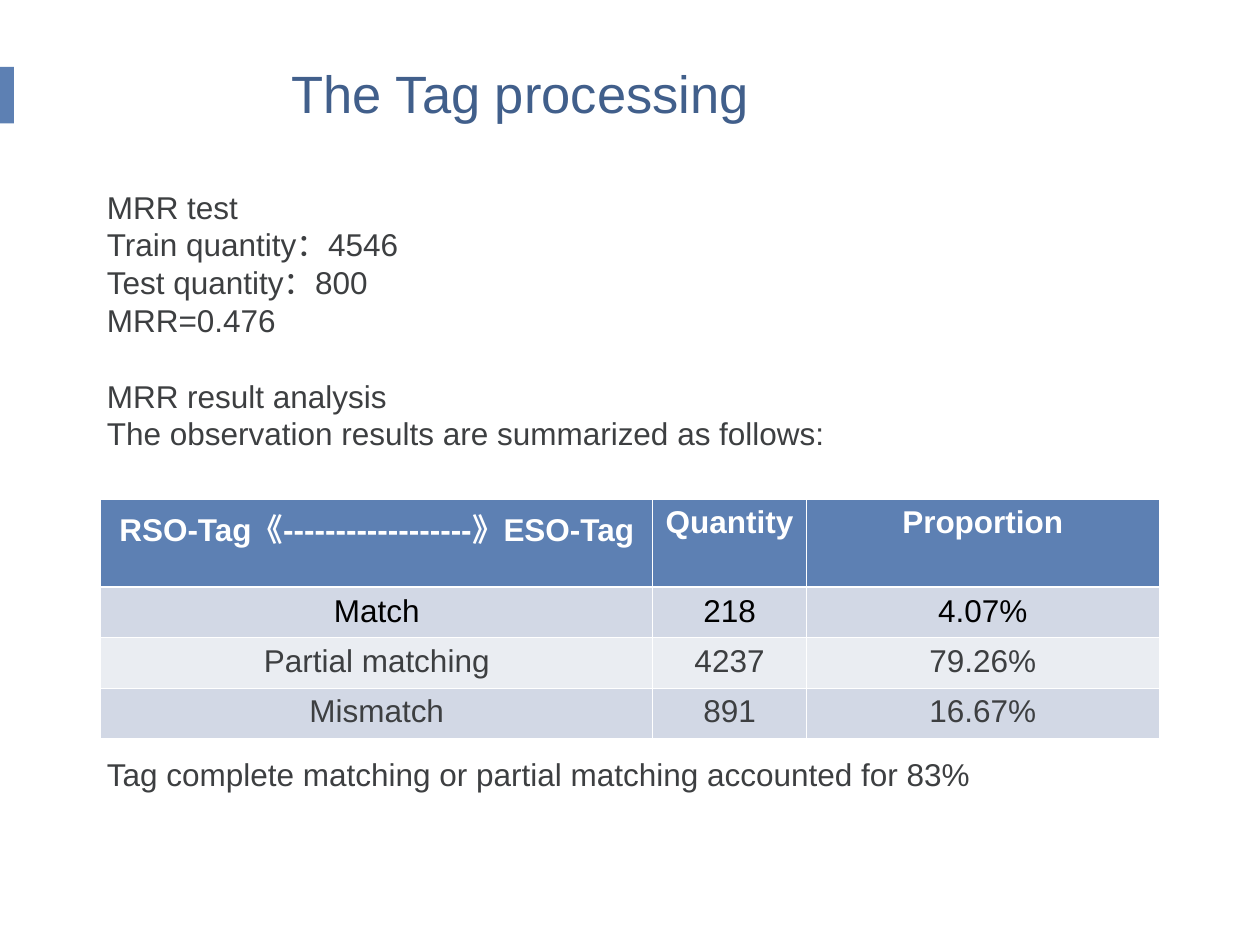
from lxml.etree import SubElement
from pptx import Presentation
from pptx.dml.color import RGBColor
from pptx.enum.shapes import MSO_SHAPE
from pptx.enum.text import MSO_ANCHOR, MSO_AUTO_SIZE, PP_ALIGN
from pptx.oxml.ns import qn
from pptx.util import Inches, Pt

BLUE = RGBColor(0x5D, 0x80, 0xB3)
TITLE_BLUE = RGBColor(0x41, 0x5F, 0x8B)
DARK_GRAY = RGBColor(0x3D, 0x3F, 0x41)
BAND_DARK = RGBColor(0xD2, 0xD8, 0xE5)
BAND_LIGHT = RGBColor(0xEA, 0xED, 0xF2)
WHITE = RGBColor(0xFF, 0xFF, 0xFF)
BLACK = RGBColor(0, 0, 0)
LINE_PITCH = 21.6


def format_text(paragraph, color, size=18, bold=False):
    for name, value in {"name": "Arial", "size": Pt(size), "bold": bold}.items():
        setattr(paragraph.font, name, value)
    paragraph.font.color.rgb = color


def set_borders(cell, widths):
    """Draw white borders; widths maps a side (L, R, T, B) to points."""
    properties = cell._tc.get_or_add_tcPr()
    for side, width in widths.items():
        line = SubElement(properties, qn(f"a:ln{side}"), w=str(Pt(width)))
        fill = SubElement(line, qn("a:solidFill"))
        SubElement(fill, qn("a:srgbClr"), val=str(WHITE))


presentation = Presentation()
presentation.slide_width = Inches(10)
presentation.slide_height = Inches(7.5)
slide = presentation.slides.add_slide(presentation.slide_layouts[5])

# Accent bar
bar = slide.shapes.add_shape(
    MSO_SHAPE.RECTANGLE, Inches(0), Inches(0.53), Inches(0.11), Inches(0.45)
)
bar.shadow.inherit = False
bar.fill.solid()
bar.fill.fore_color.rgb = BLUE
bar.line.fill.background()

# Title
title = slide.shapes.title
title_place = {"left": 0.49, "top": 0.28, "width": 7.28, "height": 0.76}
for name, value in title_place.items():
    setattr(title, name, Inches(value))
title.text_frame.auto_size = MSO_AUTO_SIZE.NONE
title.text_frame.vertical_anchor = MSO_ANCHOR.BOTTOM
title.text_frame.text = "The Tag processing"
paragraph = title.text_frame.paragraphs[0]
paragraph.alignment = PP_ALIGN.CENTER
paragraph.line_spacing = 0.9
format_text(paragraph, TITLE_BLUE, size=30)

# Body text: each line with the number of lines left free above it
body_lines = [
    ("MRR test", 0),
    ("Train quantity：4546", 0),
    ("Test quantity：800", 0),
    ("MRR=0.476", 0),
    ("MRR result analysis", 1),
    ("The observation results are summarized as follows:", 0),
    ("Tag complete matching or partial matching accounted for 83%", 8),
]
body = slide.shapes.add_textbox(Inches(0.75), Inches(1.44), Inches(9.24), Inches(5))
body.text_frame.word_wrap = True
body.text_frame.text = "\n".join(text for text, _ in body_lines)
for paragraph, (_, free_lines) in zip(body.text_frame.paragraphs, body_lines):
    paragraph.line_spacing = Pt(LINE_PITCH)
    paragraph.space_before = Pt(free_lines * LINE_PITCH)
    format_text(paragraph, DARK_GRAY)

# Matching table
table_rows = [
    ("RSO-Tag《------------------》ESO-Tag", "Quantity", "Proportion"),
    ("Match", "218", "4.07%"),
    ("Partial matching", "4237", "79.26%"),
    ("Mismatch", "891", "16.67%"),
]
row_styles = [
    (0.7, BLUE, WHITE),
    (0.4, BAND_DARK, BLACK),
    (0.4, BAND_LIGHT, DARK_GRAY),
    (0.4, BAND_DARK, DARK_GRAY),
]
table = slide.shapes.add_table(
    4, 3, Inches(0.8), Inches(3.96), Inches(8.4), Inches(1.9)
).table
for column, width in zip(table.columns, (4.38, 1.22, 2.8)):
    column.width = Inches(width)
for row_index, (texts, style) in enumerate(zip(table_rows, row_styles)):
    height, fill_color, text_color = style
    table.rows[row_index].height = Inches(height)
    is_header = row_index == 0
    widths = {
        "L": 0.45,
        "R": 0.45,
        "T": 1.47 if row_index == 1 else 0.45,
        "B": 1.47 if is_header else 0.45,
    }
    for cell, text in zip(table.rows[row_index].cells, texts):
        set_borders(cell, widths)
        cell.fill.solid()
        cell.fill.fore_color.rgb = fill_color
        cell.text = text
        paragraph = cell.text_frame.paragraphs[0]
        paragraph.alignment = PP_ALIGN.CENTER
        format_text(paragraph, text_color, bold=is_header)

presentation.save("out.pptx")
